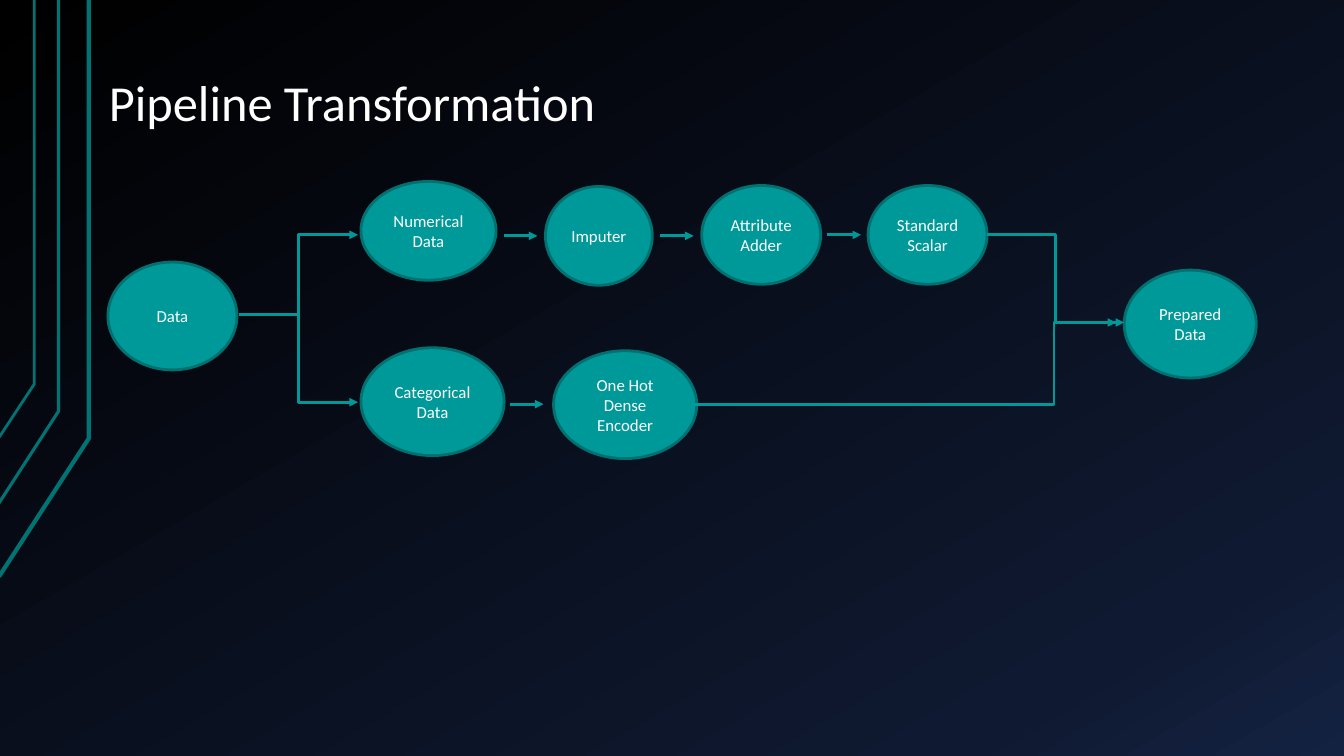
from copy import deepcopy

from pptx import Presentation
from pptx import util as u
from pptx.dml.color import RGBColor
from pptx.enum import shapes, text
from pptx.oxml.ns import qn
from lxml import etree

TEAL, WHITE = "009999", "FFFFFF"


def rgb(value):
    return RGBColor.from_string(value)


def style_line(sp, color, width):
    sp.line.color.rgb = rgb(color)
    sp.line.width = u.Pt(width)


prs = Presentation()
prs.slide_width, prs.slide_height = u.Inches(13.33), u.Inches(7.5)
s = prs.slides.add_slide(prs.slide_layouts[5])

# Background gradient with three stops
fill = s.background.fill
fill.gradient()
fill.gradient_angle = 300
stop_list = s._element.find(".//" + qn("a:gsLst"))
stop_list.append(deepcopy(stop_list[-1]))
for stop, (position, color) in zip(
    fill.gradient_stops, [(0, "000000"), (0.85, "0F1931"), (1, "142242")]
):
    stop.position = position
    stop.color.rgb = rgb(color)

# Bent lines at the left edge: x, height of the bend, height at the edge, width
for x, bend, edge, width in [
    (0.88, 4.35, 5.72, 3),
    (0.58, 4.08, 4.99, 2.25),
    (0.34, 3.81, 4.34, 2),
]:
    builder = s.shapes.build_freeform(u.Inches(-0.01), u.Inches(edge))
    corners = [(u.Inches(x), u.Inches(bend)), (u.Inches(x), 0)]
    builder.add_line_segments(corners, close=False)
    sp = builder.convert_to_shape()
    sp.fill.background()
    sp.shadow.inherit = False
    style_line(sp, "007373", width)

# Title
title = s.shapes.title
title.left, title.top = u.Inches(0.95), u.Inches(0.04)
title.width, title.height = u.Inches(11.33), u.Inches(1.34)
tf = title.text_frame
frame_format = {
    "margin_left": u.Inches(0.13),
    "margin_right": u.Inches(0.13),
    "margin_top": u.Inches(0.07),
    "margin_bottom": u.Inches(0.07),
    "vertical_anchor": text.MSO_ANCHOR.BOTTOM,
    "word_wrap": True,
}
for name, value in frame_format.items():
    setattr(tf, name, value)
p = tf.paragraphs[0]
p.alignment = text.PP_ALIGN.LEFT
p.line_spacing = 0.9
r = p.add_run()
r.text = "Pipeline Transformation"
r.font.name, r.font.size = "Calibri", u.Pt(36)
r.font.color.rgb = rgb(WHITE)

# Pipeline steps: label, left, top, width, height
steps = [
    ("Data", 1.07, 2.6, 1.28, 1.07),
    ("Numerical Data", 3.58, 1.8, 1.34, 0.98),
    ("Categorical Data", 3.58, 3.45, 1.42, 1.07),
    ("Imputer", 5.41, 1.85, 1.06, 0.98),
    ("Attribute Adder", 6.96, 1.84, 1.18, 0.98),
    ("Standard Scalar", 8.61, 1.84, 1.18, 0.98),
    ("One Hot Dense Encoder", 5.49, 3.48, 1.42, 1.07),
    ("Prepared Data", 11.15, 2.68, 1.31, 1.07),
]
for label, *box in steps:
    sp = s.shapes.add_shape(shapes.MSO_SHAPE.OVAL, *map(u.Inches, box))
    sp.shadow.inherit = False
    sp.fill.solid()
    sp.fill.fore_color.rgb = rgb(TEAL)
    style_line(sp, "007171", 2)
    tf = sp.text_frame
    tf.word_wrap = True
    tf.vertical_anchor = text.MSO_ANCHOR.MIDDLE
    p = tf.paragraphs[0]
    p.alignment = text.PP_ALIGN.CENTER
    r = p.add_run()
    r.text = label
    r.font.name, r.font.size = "Calibri", u.Pt(12)
    r.font.color.rgb = rgb(WHITE)

# Arrows: start x, start y, end x, end y, share of the width before the bend
arrows = [
    (2.37, 3.12, 3.55, 3.99, 0.5),
    (2.37, 3.12, 3.55, 2.33, 0.5),
    (5, 2.34, 5.33, 2.34, None),
    (6.55, 2.34, 6.88, 2.34, None),
    (8.2, 2.33, 8.54, 2.33, None),
    (5.06, 4.01, 5.39, 4.01, None),
    (6.88, 4.01, 11.07, 3.2, 0.853),
    (9.79, 2.33, 11.15, 3.2, 0.5),
]
for *ends, bend in arrows:
    kind = shapes.MSO_CONNECTOR.ELBOW if bend else shapes.MSO_CONNECTOR.STRAIGHT
    cx = s.shapes.add_connector(kind, *map(u.Inches, ends))
    style_line(cx, TEAL, 2)
    sp_pr = cx._element.spPr
    etree.SubElement(sp_pr.find(qn("a:ln")), qn("a:tailEnd"), type="triangle")
    etree.SubElement(sp_pr, qn("a:effectLst"))
    if bend:
        guides = sp_pr.find(".//" + qn("a:avLst"))
        formula = f"val {round(bend * 100000)}"
        etree.SubElement(guides, qn("a:gd"), name="adj1", fmla=formula)

prs.save("out.pptx")
